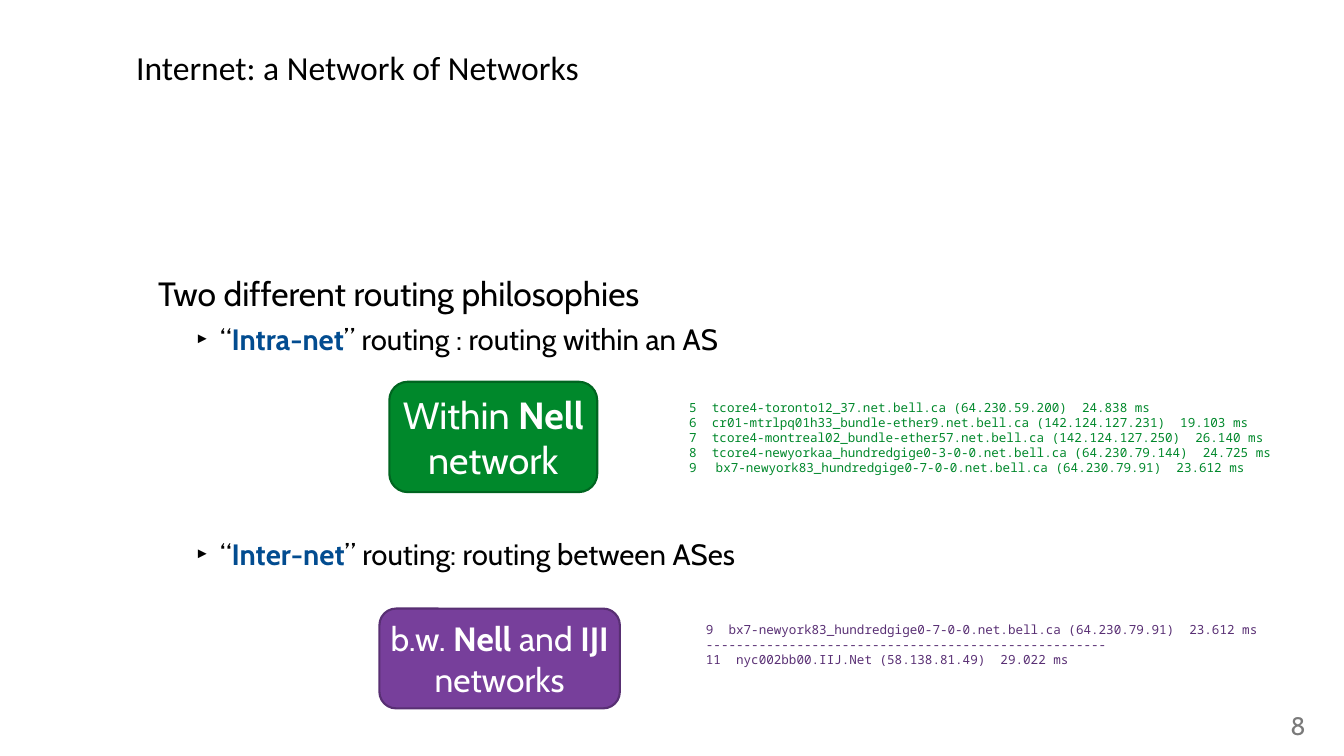
from lxml.etree import SubElement
from pptx import Presentation
from pptx.dml.color import RGBColor
from pptx.enum.shapes import MSO_SHAPE
from pptx.enum.text import MSO_ANCHOR, MSO_AUTO_SIZE, PP_ALIGN
from pptx.oxml.ns import qn
from pptx.util import Inches, Pt

WIDTH, HEIGHT = 17.78, 10
COLORS = {
    "ink": "000000", "white": "FFFFFF", "grey": "7A7A7A", "blue": "024C90",
    "green": "00882B", "dark_green": "006520",
    "purple": "773F9B", "dark_purple": "582F73", "log_purple": "592F74",
}
INTRA_HOPS = [
    "5  tcore4-toronto12_37.net.bell.ca (64.230.59.200)  24.838 ms",
    "6  cr01-mtrlpq01h33_bundle-ether9.net.bell.ca (142.124.127.231)  19.103 ms",
    "7  tcore4-montreal02_bundle-ether57.net.bell.ca (142.124.127.250)  26.140 ms",
    "8  tcore4-newyorkaa_hundredgige0-3-0-0.net.bell.ca (64.230.79.144)  24.725 ms",
]
BORDER_HOP = "bx7-newyork83_hundredgige0-7-0-0.net.bell.ca (64.230.79.91)  23.612 ms"
INTER_HOPS = ["9  " + BORDER_HOP, "-" * 53, "11  nyc002bb00.IIJ.Net (58.138.81.49)  29.022 ms"]


def color(name):
    return RGBColor.from_string(COLORS[name])


def place(left, top, width, height):
    """Turn percentages of the slide's size into lengths."""
    return (Inches(WIDTH * left / 100), Inches(HEIGHT * top / 100),
            Inches(WIDTH * width / 100), Inches(HEIGHT * height / 100))


def move(shape, area):
    shape.left, shape.top, shape.width, shape.height = place(*area)


def set_frame(frame, inset=None, anchor=MSO_ANCHOR.TOP, wrap=True):
    frame.word_wrap = wrap
    frame.auto_size = MSO_AUTO_SIZE.NONE
    frame.vertical_anchor = anchor
    if inset is not None:
        frame.margin_left = frame.margin_right = Inches(inset)
        frame.margin_top = frame.margin_bottom = Inches(inset)


def write(frame, spans, *, size, ink, font="Cabin", align=PP_ALIGN.LEFT, first=False,
          level=0, margin=0, indent=0, before=0, bullet=None, number=None, strong=None):
    """Add one paragraph; every second span is bold, in the strong colour."""
    para = frame.paragraphs[0] if first else frame.add_paragraph()
    para.level, para.alignment = level, align
    para.space_before = Pt(before)
    props = para._p.get_or_add_pPr()
    props.set("marL", str(Inches(margin)))
    props.set("indent", str(Inches(indent)))
    if bullet:
        SubElement(props, qn("a:buSzPct"), val="50000")
        SubElement(props, qn("a:buChar"), char=bullet)
    elif number:
        SubElement(props, qn("a:buAutoNum"), type="arabicPlain", startAt=str(number))
    else:
        SubElement(props, qn("a:buNone"))
    for index, text in enumerate(spans):
        span = para.add_run()
        span.text = text
        span.font.name, span.font.size = font, Pt(size)
        span.font.bold = index % 2 == 1
        span.font.color.rgb = color(strong if strong and index % 2 else ink)


def add_card(page, area, lines, size, fill, edge):
    card = page.shapes.add_shape(MSO_SHAPE.ROUNDED_RECTANGLE, *place(*area))
    card.shadow.inherit = False
    card.fill.solid()
    card.fill.fore_color.rgb = color(fill)
    card.line.color.rgb = color(edge)
    card.line.width = Pt(2)
    set_frame(card.text_frame, 0.06, MSO_ANCHOR.MIDDLE)
    for index, spans in enumerate(lines):
        write(card.text_frame, spans, size=size, ink="white",
              align=PP_ALIGN.CENTER, first=index == 0)


def add_log(page, area, lines, ink):
    frame = page.shapes.add_textbox(*place(*area)).text_frame
    set_frame(frame)
    for index, line in enumerate(lines):
        write(frame, [line], size=12, ink=ink, font="Noto Sans Mono",
              margin=0.35, first=index == 0)
    return frame


def add_page_number(page, area, text):
    frame = page.shapes.add_textbox(*place(*area)).text_frame
    set_frame(frame, 0, wrap=False)
    write(frame, [text], size=24, ink="grey", align=PP_ALIGN.CENTER, first=True)


def main():
    deck = Presentation()
    deck.slide_width, deck.slide_height = Inches(WIDTH), Inches(HEIGHT)
    page = deck.slides.add_slide(deck.slide_layouts[1])
    title, body = page.shapes.title, page.placeholders[1]

    # Title
    move(title, (9.79, 0, 80.48, 17.8))
    set_frame(title.text_frame, 0.06, MSO_ANCHOR.MIDDLE)
    write(title.text_frame, ["Internet: a Network of Networks"],
          size=32, ink="ink", font="Calibri", first=True)

    # Outline, with room for a card below the first bullet
    move(body, (9.79, 24.4, 80.48, 62.9))
    set_frame(body.text_frame, 0, MSO_ANCHOR.MIDDLE)
    write(body.text_frame, ["Two different routing philosophies"],
          size=32, ink="ink", margin=0.35, first=True)
    for term, rest, before in (("Intra-net", "” routing : routing within an AS", 7),
                               ("Inter-net", "” routing: routing between ASes", 171)):
        write(body.text_frame, ["“", term, rest], size=28, ink="ink", strong="blue",
              level=1, margin=1.17, indent=-0.33, before=before, bullet="►")

    # Routing within one network
    add_card(page, (28.97, 50.5, 15.47, 14.6), [["Within ", "Nell", " network"]],
             36, "green", "dark_green")
    log = add_log(page, (48.76, 52.4, 50, 13.1), INTRA_HOPS, "green")
    write(log, [BORDER_HOP], size=12, ink="green", font="Noto Sans Mono",
          margin=0.7, indent=-0.35, number=9)

    # Routing between two networks
    add_card(page, (28.23, 80.5, 17.89, 13.2),
             [["b.w. ", "Nell ", "and ", "IJI"], ["networks"]],
             32, "purple", "dark_purple")
    add_log(page, (50, 81.8, 50, 7.1), INTER_HOPS, "log_purple")

    add_page_number(page, (95.28, 93.9, 2.59, 5), "8")
    deck.save("out.pptx")


if __name__ == "__main__":
    main()
